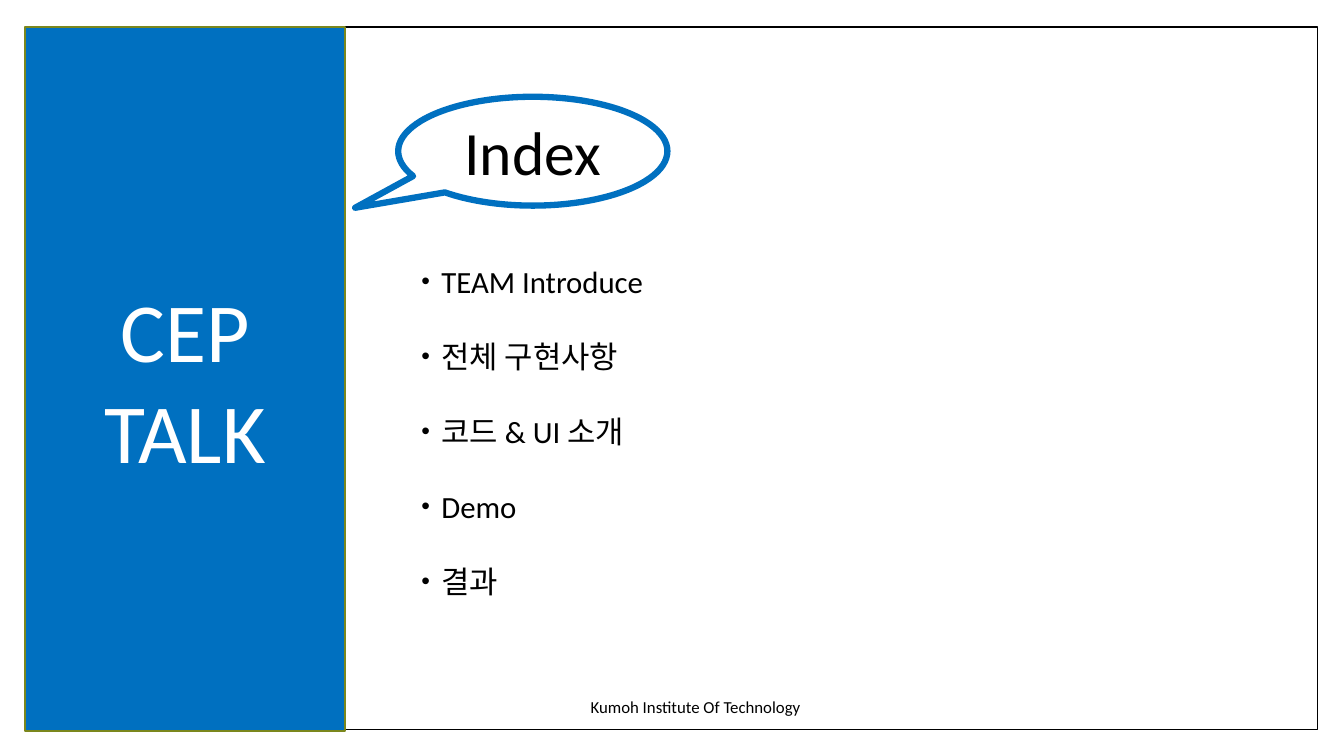
from lxml import etree
from pptx import Presentation
from pptx.dml.color import RGBColor
from pptx.enum import shapes, text
from pptx.oxml import ns
from pptx.util import Inches, Pt

BLACK = RGBColor(0x00, 0x00, 0x00)
WHITE = RGBColor(0xFF, 0xFF, 0xFF)
BLUE = RGBColor(0x00, 0x70, 0xC0)
OLIVE = RGBColor(0x7B, 0x87, 0x1D)


def add_bullet(paragraph):
    props = paragraph._p.get_or_add_pPr()
    props.set("marL", str(Inches(0.25)))
    props.set("indent", str(Inches(-0.2)))
    color = etree.SubElement(props, ns.qn("a:buClr"))
    etree.SubElement(color, ns.qn("a:srgbClr")).set("val", str(BLACK))
    etree.SubElement(props, ns.qn("a:buSzPct")).set("val", "80000")
    etree.SubElement(props, ns.qn("a:buFont")).set("typeface", "Arial")
    etree.SubElement(props, ns.qn("a:buChar")).set("char", "•")


def write(frame, lines, size, color=BLACK, font="Calibri", align=text.PP_ALIGN.CENTER,
          anchor=text.MSO_ANCHOR.MIDDLE, spacing=None, before=None, bullet=False):
    frame.word_wrap = True
    frame.vertical_anchor = anchor
    for index, line in enumerate(lines):
        paragraph = frame.paragraphs[0] if index == 0 else frame.add_paragraph()
        paragraph.alignment = align
        if spacing:
            paragraph.line_spacing = spacing
        if before:
            paragraph.space_before = Pt(before)
        if bullet:
            add_bullet(paragraph)
        run = paragraph.add_run()
        run.text = line
        run.font.name = font
        run.font.size = Pt(size)
        run.font.color.rgb = color


class Deck:
    def __init__(self, width, height):
        self.presentation = Presentation()
        self.presentation.slide_width = Inches(width)
        self.presentation.slide_height = Inches(height)
        self.slide = self.presentation.slides.add_slide(self.presentation.slide_layouts[6])

    def shape(self, kind, box, fill, line, weight):
        added = self.slide.shapes.add_shape(kind, *map(Inches, box))
        added.shadow.inherit = False
        if fill is None:
            added.fill.background()
        else:
            added.fill.solid()
            added.fill.fore_color.rgb = fill
        added.line.color.rgb = line
        added.line.width = Pt(weight)
        return added

    def label(self, box, lines, **style):
        added = self.slide.shapes.add_textbox(*map(Inches, box))
        write(added.text_frame, lines, **style)


deck = Deck(13.33, 7.5)
RECTANGLE = shapes.MSO_SHAPE.RECTANGLE

deck.shape(RECTANGLE, (0.25, 0.27, 12.82, 6.97), WHITE, BLACK, 1)

title_panel = deck.shape(RECTANGLE, (0.25, 0.27, 3.17, 6.98), BLUE, OLIVE, 1.5)
write(title_panel.text_frame, ["CEP", "TALK"], size=60, color=WHITE)

agenda = ["TEAM Introduce", "전체 구현사항", "코드 & UI 소개", "Demo", "결과"]
deck.label((4.03, 2.37, 5.45, 5.36), agenda, size=22, align=text.PP_ALIGN.LEFT,
           anchor=text.MSO_ANCHOR.TOP, spacing=1.5, before=14, bullet=True)

deck.label((4.32, 6.81, 5.16, 0.4), ["Kumoh Institute Of Technology"], size=12)

index_bubble = deck.shape(shapes.MSO_SHAPE.OVAL_CALLOUT, (3.95, 0.96, 2.67, 1.08), None, BLUE, 4.5)
index_bubble.adjustments[0] = -0.66
index_bubble.adjustments[1] = 0.52
write(index_bubble.text_frame, ["Index"], size=44)

deck.presentation.save("out.pptx")
